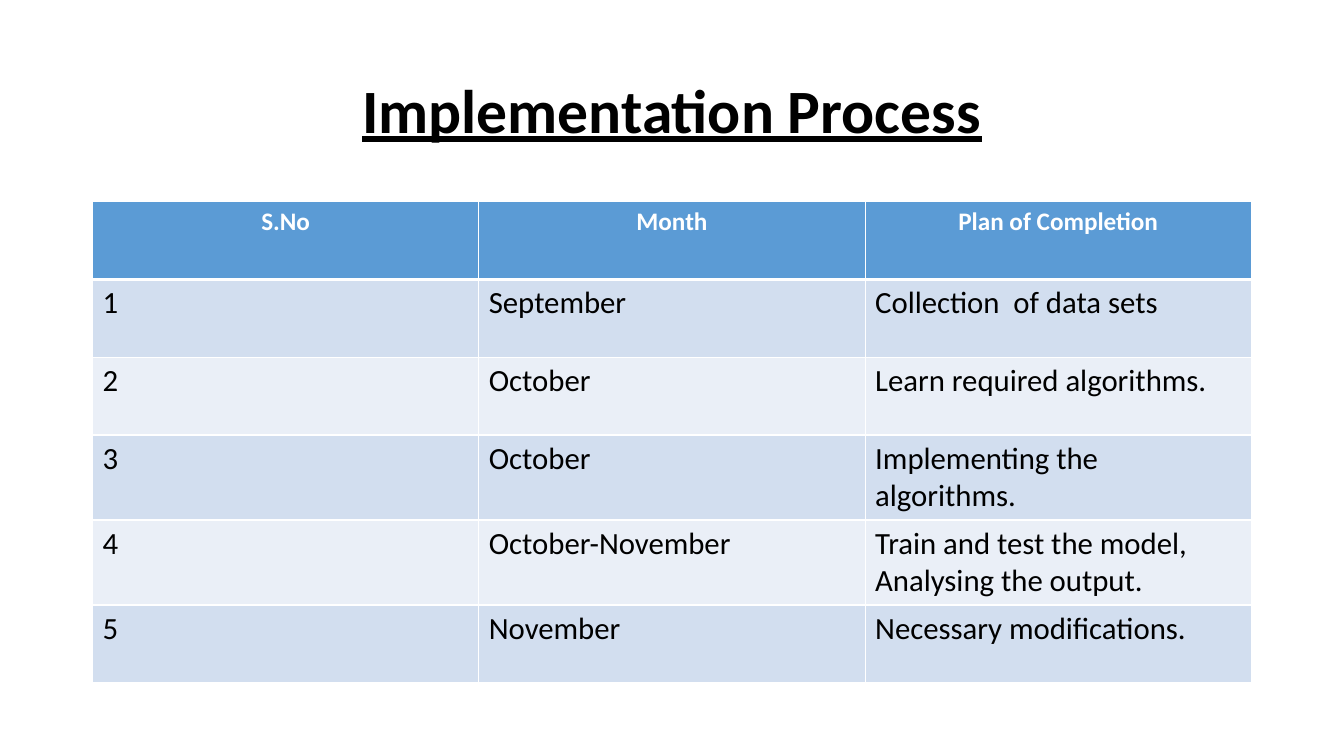
"""Build the implementation process slide with its schedule table."""
from dataclasses import astuple, dataclass

from lxml import etree
from pptx import Presentation
from pptx.dml.color import RGBColor
from pptx.enum.text import MSO_ANCHOR, MSO_AUTO_SIZE, PP_ALIGN
from pptx.oxml.ns import qn
from pptx.slide import Slide
from pptx.table import _Cell
from pptx.text.text import TextFrame
from pptx.util import Cm, Pt

CENTER = PP_ALIGN.CENTER
LEFT = PP_ALIGN.LEFT
MIDDLE = MSO_ANCHOR.MIDDLE
NO_AUTOFIT = MSO_AUTO_SIZE.NONE
TITLE_ONLY_LAYOUT = 5


@dataclass(frozen=True)
class Theme:
    """Colours, font and type sizes of the slide."""

    font: str = "Calibri"
    ink: str = "000000"
    paper: str = "FFFFFF"
    header: str = "5B9BD5"
    bands: tuple[str, str] = ("D2DEEF", "EAEFF7")
    title_size: int = 44
    header_size: int = 18
    body_size: int = 22
    thin_line: int = 1
    thick_line: int = 3


@dataclass(frozen=True)
class Step:
    """One row of the schedule."""

    number: str
    month: str
    plan: str


THEME = Theme()
HEADING = Step("S.No", "Month", "Plan of Completion")
STEPS = [
    Step("1", "September", "Collection  of data sets"),
    Step("2", "October", "Learn required algorithms."),
    Step("3", "October", "Implementing the algorithms."),
    Step("4", "October-November", "Train and test the model, Analysing the output."),
    Step("5", "November", "Necessary modifications."),
]
MARGIN = Cm(2.33)
CONTENT_WIDTH = Cm(29.21)
TABLE_TOP = Cm(5.08)
ROW_HEIGHT = Cm(1.96)


def write_text(frame: TextFrame, text: str, color: str, align: PP_ALIGN, **formats) -> None:
    """Fill a text frame with one formatted paragraph."""
    para = frame.paragraphs[0]
    para.alignment = align
    span = para.add_run()
    span.text = text
    span.font.color.rgb = RGBColor.from_string(color)
    for name, value in {"name": THEME.font, **formats}.items():
        setattr(span.font, name, value)


def add_borders(cell: _Cell, top: int, bottom: int) -> None:
    """Draw the four borders of a cell, with widths in points."""
    properties = cell._tc.get_or_add_tcPr()
    widths = {"lnL": THEME.thin_line, "lnR": THEME.thin_line, "lnT": top, "lnB": bottom}
    for side, width in widths.items():
        line = etree.SubElement(properties, qn(f"a:{side}"), w=str(Pt(width)))
        fill = etree.SubElement(line, qn("a:solidFill"))
        etree.SubElement(fill, qn("a:srgbClr"), val=THEME.paper)


def add_title(page: Slide, text: str) -> None:
    """Place and format the slide title."""
    box = page.shapes.title
    place = {"left": MARGIN, "top": Cm(1.01), "width": CONTENT_WIDTH, "height": Cm(3.68)}
    for name, value in place.items():
        setattr(box, name, value)
    frame = box.text_frame
    frame.auto_size = NO_AUTOFIT
    frame.vertical_anchor = MIDDLE
    write_text(frame, text, THEME.ink, CENTER,
               size=Pt(THEME.title_size), bold=True, underline=True)
    frame.paragraphs[0].line_spacing = 0.9


def add_schedule(page: Slide, steps: list[Step]) -> None:
    """Draw the header row and the banded steps below it."""
    rows = [HEADING, *steps]
    columns = len(astuple(HEADING))
    table = page.shapes.add_table(len(rows), columns, MARGIN, TABLE_TOP,
                                  CONTENT_WIDTH, ROW_HEIGHT * len(rows)).table
    for index, step in enumerate(rows):
        is_header = index == 0
        background = THEME.header if is_header else THEME.bands[(index - 1) % 2]
        color = THEME.paper if is_header else THEME.ink
        size = THEME.header_size if is_header else THEME.body_size
        top = THEME.thick_line if index == 1 else THEME.thin_line
        bottom = THEME.thick_line if is_header else THEME.thin_line
        for cell, text in zip(table.rows[index].cells, astuple(step)):
            add_borders(cell, top, bottom)
            cell.fill.solid()
            cell.fill.fore_color.rgb = RGBColor.from_string(background)
            write_text(cell.text_frame, text, color, CENTER if is_header else LEFT,
                       size=Pt(size), bold=is_header)


def main() -> None:
    """Build and save the deck."""
    deck = Presentation()
    deck.slide_width = Cm(33.87)
    deck.slide_height = Cm(19.05)
    page = deck.slides.add_slide(deck.slide_layouts[TITLE_ONLY_LAYOUT])
    add_title(page, "Implementation Process")
    add_schedule(page, STEPS)
    deck.save("out.pptx")


if __name__ == "__main__":
    main()
